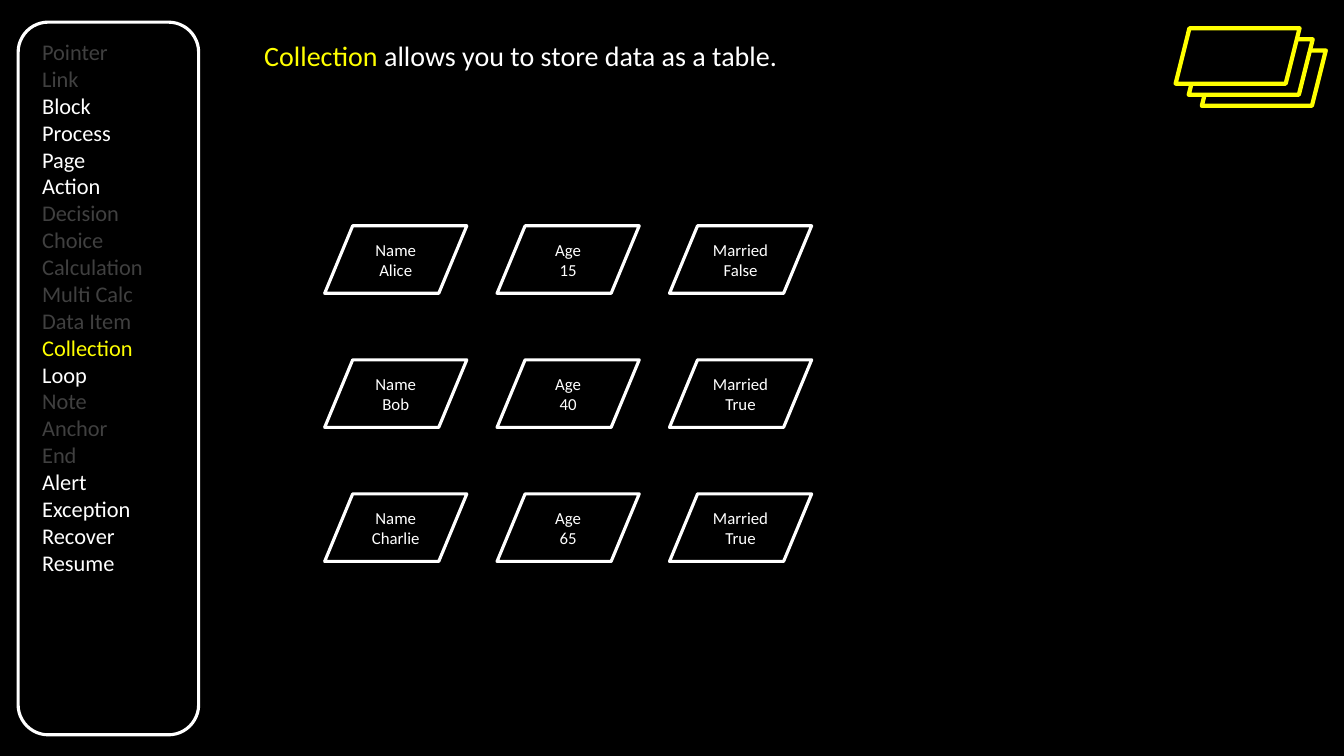
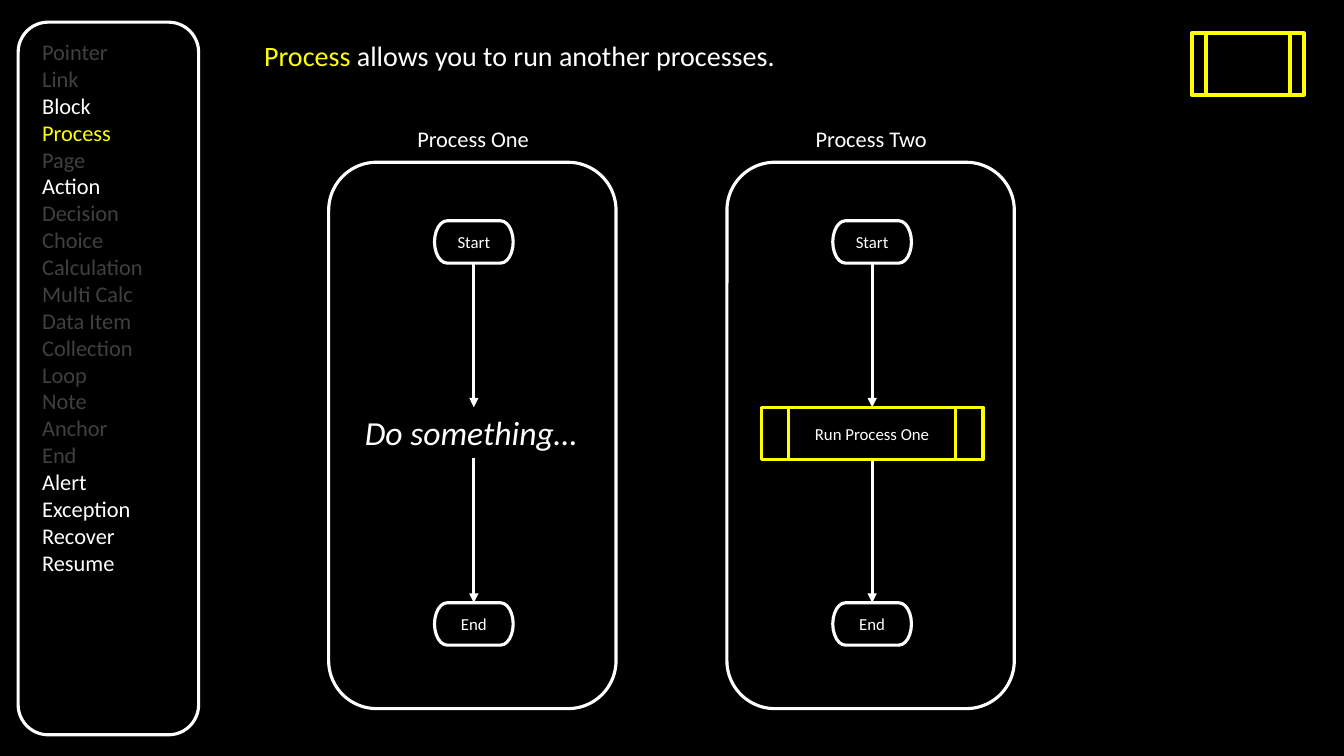
from lxml import etree
from pptx import Presentation
from pptx.dml.color import RGBColor
from pptx.enum.shapes import MSO_CONNECTOR, MSO_SHAPE
from pptx.enum.text import MSO_ANCHOR, MSO_AUTO_SIZE, PP_ALIGN
from pptx.oxml.ns import qn
from pptx.util import Inches, Pt

BLACK = RGBColor(0x00, 0x00, 0x00)
WHITE = RGBColor(0xFF, 0xFF, 0xFF)
YELLOW = RGBColor(0xFF, 0xFF, 0x00)
GRAY = RGBColor(0x40, 0x40, 0x40)
FONT = "Calibri"

ROUND = MSO_SHAPE.ROUNDED_RECTANGLE
SLANT = MSO_SHAPE.PARALLELOGRAM
PROCESS = MSO_SHAPE.FLOWCHART_PREDEFINED_PROCESS
TERMINAL = MSO_SHAPE.FLOWCHART_TERMINATOR
STRAIGHT = MSO_CONNECTOR.STRAIGHT
LEFT, CENTER = PP_ALIGN.LEFT, PP_ALIGN.CENTER
TOP, MIDDLE = MSO_ANCHOR.TOP, MSO_ANCHOR.MIDDLE
NO_FIT = MSO_AUTO_SIZE.NONE

STAGES = (
    "Pointer", "Link", "Block", "Process", "Page", "Action", "Decision",
    "Choice", "Calculation", "Multi Calc", "Data Item", "Collection", "Loop",
    "Note", "Anchor", "End", "Alert", "Exception", "Recover", "Resume",
)
COMMON = {"Block", "Process", "Action", "Alert", "Exception", "Recover", "Resume"}
PEOPLE = (
    {"Name": "Alice", "Age": "15", "Married": "False"},
    {"Name": "Bob", "Age": "40", "Married": "True"},
    {"Name": "Charlie", "Age": "65", "Married": "True"},
)


def style(run, size, color=WHITE, italic=False):
    font = run.font
    font.name, font.size, font.italic = FONT, Pt(size), italic
    font.color.rgb = color


def outline(slide, kind, box, color=WHITE, width=2.25, text="", fill=None):
    shape = slide.shapes.add_shape(kind, *map(Inches, box))
    shape.shadow.inherit = False
    if fill is None:
        shape.fill.background()
    else:
        shape.fill.solid()
        shape.fill.fore_color.rgb = fill
    shape.line.color.rgb = color
    shape.line.width = Pt(width)
    if text:
        frame = shape.text_frame
        frame.text = text
        frame.vertical_anchor = MIDDLE
        for para in frame.paragraphs:
            para.alignment = CENTER
            style(para.runs[0], 12)
    return shape


def label(slide, box, text, size, italic=False):
    shape = slide.shapes.add_textbox(*map(Inches, box))
    frame = shape.text_frame
    frame.word_wrap = True
    frame.text = text
    for para in frame.paragraphs:
        style(para.runs[0], size, italic=italic)
    return shape


def arrow(slide, start, end):
    line = slide.shapes.add_connector(STRAIGHT, 0, 0, 0, 0)
    line.begin_connect(start, 2)
    line.end_connect(end, 0)
    line.line.color.rgb = WHITE
    line.line.width = Pt(2.25)
    etree.SubElement(line.line._get_or_add_ln(), qn("a:tailEnd"), type="triangle")
    etree.SubElement(line._element.spPr, qn("a:effectLst"))


def sidebar(slide, box, active, used):
    x, y, w, h = box
    outline(slide, ROUND, box)
    menu = label(slide, (x + 0.14, y + 0.11, w - 0.36, 5.49), "\n".join(STAGES), 16)
    for para in menu.text_frame.paragraphs:
        run = para.runs[0]
        if run.text == active:
            run.font.color.rgb = YELLOW
        elif run.text not in used:
            run.font.color.rgb = GRAY


def heading(slide, box, key, rest):
    title = slide.shapes.title
    title.left, title.top, title.width, title.height = map(Inches, box)
    frame = title.text_frame
    frame.auto_size = NO_FIT
    frame.word_wrap = True
    frame.vertical_anchor = TOP
    para = frame.paragraphs[0]
    para.alignment = LEFT
    for text, color in ((key, YELLOW), (rest, WHITE)):
        run = para.add_run()
        run.text = text
        style(run, 20, color)


def base(deck, key, rest, used):
    slide = deck.slides.add_slide(deck.slide_layouts[5])
    sidebar(slide, (0.18, 0.22, 1.79, 7.07), key, used)
    heading(slide, (2.52, 0.33, 8.6, 0.44), key, rest)
    return slide


def stack(slide, box):
    x, y, w, h = box
    for i in (2, 1, 0):
        outline(slide, SLANT, (x + 0.13 * i, y + 0.11 * i, w, h), YELLOW, 3, fill=BLACK)


def records(slide, box, rows):
    x, y, w, h = box
    for r, row in enumerate(rows):
        for c, (field, value) in enumerate(row.items()):
            cell = (x + 1.71 * c, y + 1.33 * r, w, h)
            item = outline(slide, SLANT, cell, text=f"{field}\n{value}")
            item.adjustments[0] = 0.415


def flow(slide, box, name, step):
    x, y, w, h = box
    axis = x + 1.44
    outline(slide, ROUND, box)
    label(slide, (axis - 0.66, y - 0.42, 1.32, 0.37), name, 16)
    start, end = [
        outline(slide, TERMINAL, (axis - 0.39, y + dy, 0.78, 0.42), text=text)
        for text, dy in (("Start", 0.58), ("End", 4.37))
    ]
    middle = step(slide, axis, y + 2.43)
    arrow(slide, start, middle)
    arrow(slide, middle, end)


def task(slide, axis, y):
    return label(slide, (axis - 1.18, y, 2.36, 0.5), "Do something…", 24, True)


def call(slide, axis, y):
    return outline(slide, PROCESS, (axis - 1.1, y, 2.2, 0.52), YELLOW, text="Run Process One")


def collection(deck):
    used = COMMON | {"Page", "Loop"}
    slide = base(deck, "Collection", " allows you to store data as a table.", used)
    stack(slide, (11.66, 0.28, 1.23, 0.55))
    records(slide, (3.22, 2.24, 1.41, 0.67), PEOPLE)


def process(deck):
    slide = base(deck, "Process", " allows you to run another processes.", COMMON)
    outline(slide, PROCESS, (11.82, 0.33, 1.11, 0.61), YELLOW, 3)
    flow(slide, (3.26, 1.61, 2.85, 5.42), "Process One", task)
    flow(slide, (7.21, 1.61, 2.85, 5.42), "Process Two", call)


def main():
    deck = Presentation()
    deck.slide_width, deck.slide_height = Inches(13.33), Inches(7.5)
    fill = deck.slide_master.background.fill
    fill.solid()
    fill.fore_color.rgb = BLACK
    collection(deck)
    process(deck)
    deck.save("out.pptx")


if __name__ == "__main__":
    main()
